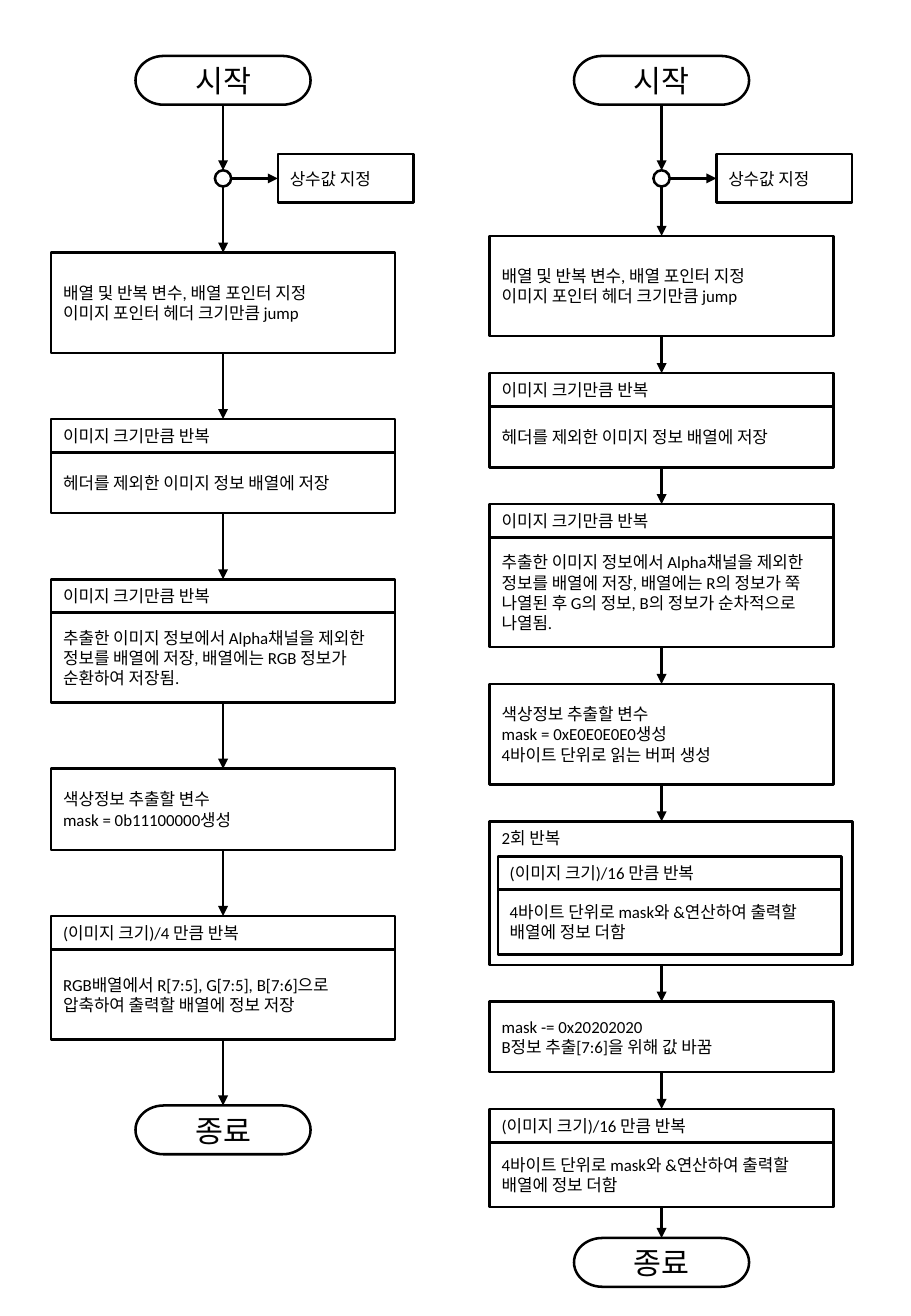
from pptx import Presentation
from pptx.dml.color import RGBColor
from pptx.enum.shapes import MSO_CONNECTOR as Line, MSO_SHAPE as Kind
from pptx.enum.text import MSO_ANCHOR as Anchor, PP_ALIGN as Align
from pptx.oxml.ns import qn
from pptx.util import Cm, Pt
from lxml.etree import SubElement

INK, PAPER = "000000", "FFFFFF"
WIDE, HEAD = 7.19, 0.7
TOP, END_W, END_H = 1.17, 3.66, 1.02
RING_Y, RING = 3.56, 0.34
SIDE_X, SIDE_W, SIDE_H = 4.74, 2.84, 1.02
OUT_W, OUT_H, PAD_X, PAD_Y = 7.59, 3, 0.17, 0.73

EACH = "이미지 크기만큼 반복"
SETUP = ("", "배열 및 반복 변수, 배열 포인터 지정\n이미지 포인터 헤더 크기만큼 jump", 2.1, "")
STORE = (EACH, "헤더를 제외한 이미지 정보 배열에 저장", 1.27, "")
PACK = ("(이미지 크기)/16 만큼 반복", "4바이트 단위로 mask와 &연산하여 출력할 배열에 정보 더함", 1.35)

FLOWS = [
    dict(x=1.07, y=5.28, gap=1.38, last=1.38, steps=[
        SETUP,
        STORE,
        (EACH, "추출한 이미지 정보에서 Alpha채널을 제외한 정보를 배열에 저장, "
               "배열에는 RGB 정보가 순환하여 저장됨.", 1.88, ""),
        ("", "색상정보 추출할 변수\nmask = 0b11100000생성", 1.7, ""),
        ("(이미지 크기)/4 만큼 반복",
         "RGB배열에서 R[7:5], G[7:5], B[7:6]으로 압축하여 출력할 배열에 정보 저장", 1.88, ""),
    ]),
    dict(x=10.24, y=4.93, gap=0.77, last=0.65, steps=[
        SETUP,
        STORE,
        (EACH, "추출한 이미지 정보에서 Alpha채널을 제외한 정보를 배열에 저장, "
               "배열에는 R의 정보가 쭉 나열된 후 G의 정보, B의 정보가 순차적으로 나열됨.", 2.29, ""),
        ("", "색상정보 추출할 변수\nmask = 0xE0E0E0E0생성\n4바이트 단위로 읽는 버퍼 생성", 2.1, ""),
        (*PACK, "2회 반복"),
        ("", "mask -= 0x20202020\nB정보 추출[7:6]을 위해 값 바꿈", 1.47, ""),
        (*PACK, ""),
    ]),
]

deck = Presentation()
deck.slide_width, deck.slide_height = Cm(19.05), Cm(27.51)
slide = deck.slides.add_slide(deck.slide_layouts[6])


def color(code):
    return RGBColor.from_string(code)


def write(frame, text, size=10, font="Calibri", align=Align.LEFT, anchor=Anchor.MIDDLE):
    frame.word_wrap = True
    frame.vertical_anchor = anchor
    frame.text = text
    for para in frame.paragraphs:
        para.alignment = align
        for run in para.runs:
            run.font.size, run.font.name = Pt(size), font
            run.font.color.rgb = color(INK)


def draw(home, x, y, w, h, text="", kind=Kind.RECTANGLE, **style):
    shape = home.add_shape(kind, Cm(x), Cm(y), Cm(w), Cm(h))
    shape.shadow.inherit = False
    shape.fill.solid()
    shape.fill.fore_color.rgb = color(PAPER)
    shape.line.color.rgb = color(INK)
    shape.line.width = Pt(1.5)
    if text:
        write(shape.text_frame, text, **style)
    return shape


def arrow(start, end, x1, y1, x2, y2, entry=0):
    link = slide.shapes.add_connector(Line.STRAIGHT, Cm(x1), Cm(y1), Cm(x2), Cm(y2))
    if start:
        link.begin_connect(start, 2)
    if end:
        link.end_connect(end, entry)
    link.line.color.rgb = color(INK)
    link.line.width = Pt(1.5)
    props = link._element.spPr
    SubElement(props.get_or_add_ln(), qn("a:tailEnd"), type="triangle")
    SubElement(props, qn("a:effectLst"))


def cap(mid, y, text):
    return draw(slide.shapes, mid - END_W / 2, y, END_W, END_H, text,
                Kind.FLOWCHART_TERMINATOR, size=18, font="Open Sans", align=Align.CENTER)


def block(x, y, title, text, tall, outer):
    if not title:
        box = draw(slide.shapes, x, y, WIDE, tall, text)
        return box, box, y + tall
    home = slide.shapes.add_group_shape().shapes
    base = y + HEAD + tall
    if outer:
        draw(home, x, y, OUT_W, OUT_H, outer, anchor=Anchor.TOP)
        base = y + OUT_H
        x, y = x + PAD_X, y + PAD_Y
    body = draw(home, x, y + HEAD, WIDE, tall, text)
    head = draw(home, x, y, WIDE, HEAD, title)
    return (None, None, base) if outer else (head, body, base)


def flow(x, y, gap, last, steps):
    mid = x + WIDE / 2
    ring_mid = RING_Y + RING / 2
    start = cap(mid, TOP, "시작")
    ring = draw(slide.shapes, mid - RING / 2, RING_Y, RING, RING, kind=Kind.OVAL)
    side = draw(slide.shapes, x + SIDE_X, ring_mid - SIDE_H / 2, SIDE_W, SIDE_H, "상수값 지정")
    arrow(start, ring, mid, TOP + END_H, mid, RING_Y)
    arrow(None, side, mid + RING / 2, ring_mid, x + SIDE_X, ring_mid, 1)
    prior, base = None, RING_Y + RING
    for step in steps:
        head, body, foot = block(x, y, *step)
        arrow(prior, head, mid, base, mid, y)
        prior, base = body, foot
        y = base + gap
    stop = cap(mid, base + last, "종료")
    arrow(prior, stop, mid, base, mid, base + last)


def main():
    for item in FLOWS:
        flow(**item)
    deck.save("out.pptx")


if __name__ == "__main__":
    main()
